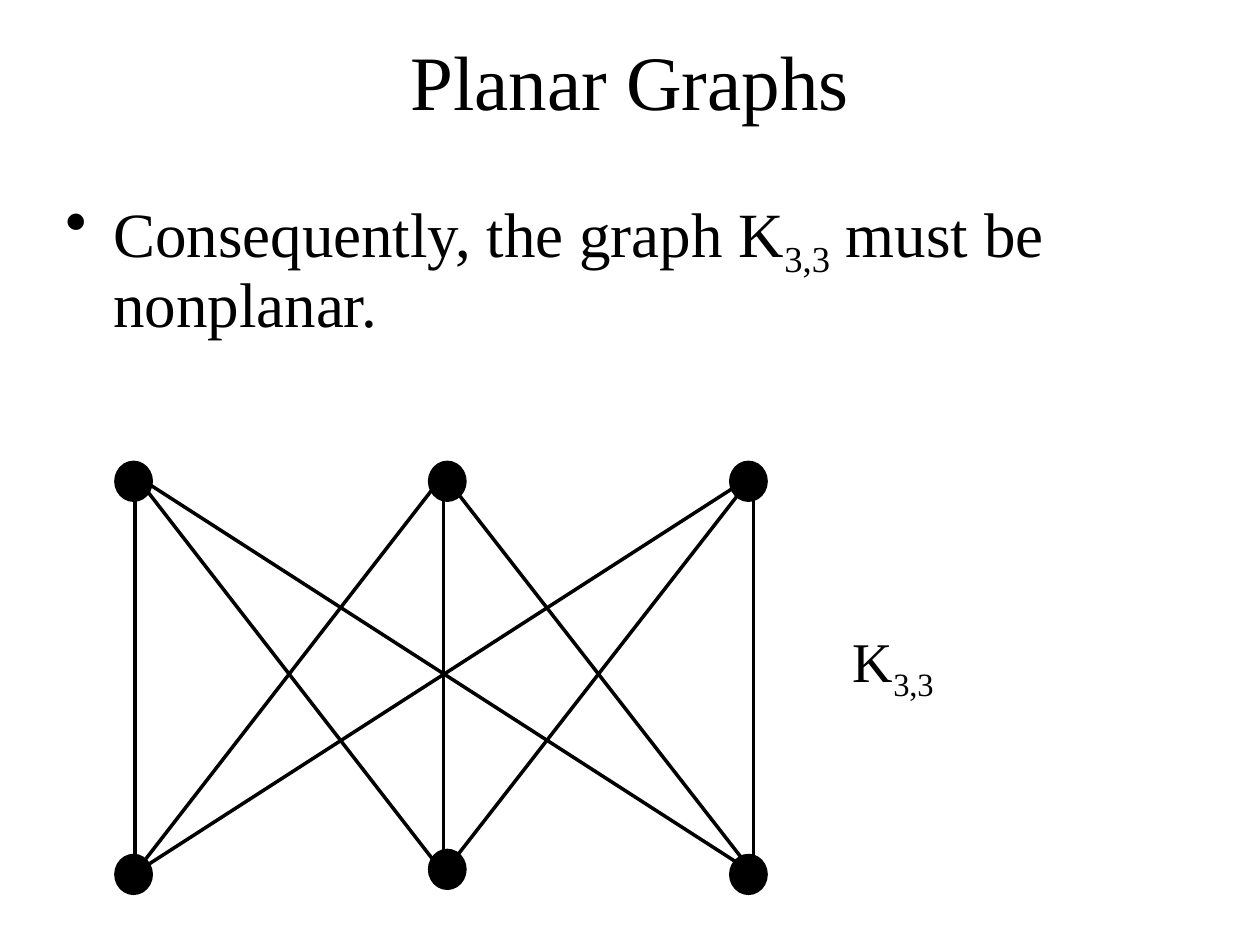
from dataclasses import dataclass
from itertools import product

from lxml import etree
from pptx import Presentation
from pptx.dml.color import RGBColor
from pptx.enum import shapes, text
from pptx.oxml import ns
from pptx.util import Inches, Pt


@dataclass(frozen=True)
class Theme:
    font: str = "Times New Roman"
    ink: RGBColor = RGBColor(0, 0, 0)
    title: float = 44
    body: float = 36
    label: float = 32
    stroke: float = 2
    subscript: int = -25000


@dataclass(frozen=True)
class Row:
    edge_y: float
    vertex_tops: tuple[float, ...]


@dataclass(frozen=True)
class Run:
    words: str
    subscript: bool = False


THEME = Theme()
VERTEX_LEFTS = (0.92, 3.41, 5.8)
VERTEX_SIZE = (0.28, 0.3)
EDGE_XS = (1.07, 3.52, 5.98)
UPPER = Row(3.77, (3.67, 3.67, 3.67))
LOWER = Row(6.93, (6.79, 6.75, 6.79))


def add_text(slide, box: tuple[float, ...], size: float, *runs: Run):
    frame = slide.shapes.add_textbox(*map(Inches, box)).text_frame
    frame.word_wrap = True
    paragraph = frame.paragraphs[0]
    paragraph.font.name = THEME.font
    paragraph.font.size = Pt(size)
    paragraph.font.color.rgb = THEME.ink
    for part in runs:
        run = paragraph.add_run()
        run.text = part.words
        if part.subscript:
            run._r.get_or_add_rPr().set("baseline", str(THEME.subscript))
    return frame


def add_bullet(paragraph, indent: float) -> None:
    properties = paragraph._p.get_or_add_pPr()
    properties.set("marL", str(Inches(indent)))
    properties.set("indent", str(-Inches(indent)))
    bullet = etree.Element(ns.qn("a:buChar"), char="•")
    properties.insert_element_before(bullet, "a:tabLst", "a:defRPr", "a:extLst")


def style_line(line) -> None:
    line.color.rgb = THEME.ink
    line.width = Pt(THEME.stroke)


def add_edge(graph, upper_x: float, lower_x: float) -> None:
    ends = map(Inches, (upper_x, UPPER.edge_y, lower_x, LOWER.edge_y))
    edge = graph.shapes.add_connector(shapes.MSO_CONNECTOR.STRAIGHT, *ends)
    style_line(edge.line)
    etree.SubElement(edge._element.spPr, ns.qn("a:effectLst"))


def add_vertex(graph, left: float, top: float) -> None:
    box = map(Inches, (left, top, *VERTEX_SIZE))
    vertex = graph.shapes.add_shape(shapes.MSO_SHAPE.OVAL, *box)
    vertex.shadow.inherit = False
    vertex.fill.solid()
    vertex.fill.fore_color.rgb = THEME.ink
    style_line(vertex.line)


def main() -> None:
    deck = Presentation()
    deck.slide_width, deck.slide_height = Inches(10), Inches(7.5)
    slide = deck.slides.add_slide(deck.slide_layouts[6])

    title = add_text(slide, (0.5, 0.17, 9, 0.92), THEME.title, Run("Planar Graphs"))
    title.vertical_anchor = text.MSO_ANCHOR.MIDDLE
    title.paragraphs[0].alignment = text.PP_ALIGN.CENTER

    body = add_text(
        slide, (0.42, 1.5, 9.17, 1.58), THEME.body,
        Run("Consequently, the graph K"), Run("3,3", True), Run(" must be nonplanar."),
    )
    statement = body.paragraphs[0]
    statement.line_spacing = 0.9
    statement.space_before = Pt(7.2)
    add_bullet(statement, 0.38)

    label = add_text(
        slide, (6.67, 4.92, 1.08, 0.63), THEME.label, Run("K"), Run("3,3", True)
    )
    label.paragraphs[0].space_before = Pt(4)

    graph = slide.shapes.add_group_shape()
    for upper_x, lower_x in product(EDGE_XS, repeat=2):
        add_edge(graph, upper_x, lower_x)
    for row in (UPPER, LOWER):
        for left, top in zip(VERTEX_LEFTS, row.vertex_tops):
            add_vertex(graph, left, top)

    deck.save("out.pptx")


if __name__ == "__main__":
    main()
